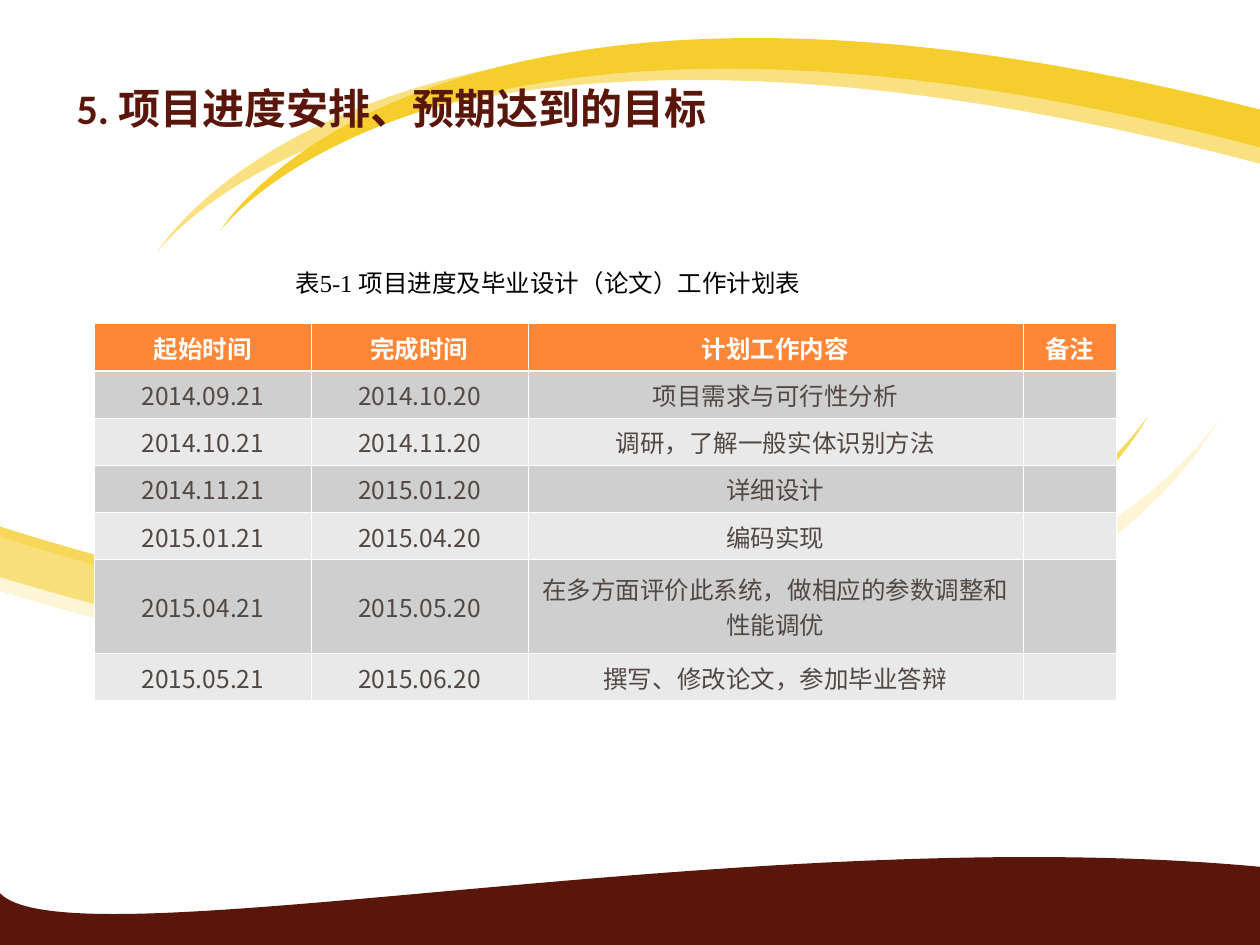
"""Build the project schedule slide with its wave backdrop and plan table."""
from dataclasses import dataclass

from lxml import etree
from pptx import Presentation
from pptx.dml.color import RGBColor
from pptx.enum.text import MSO_ANCHOR, MSO_AUTO_SIZE, PP_ALIGN
from pptx.oxml.ns import qn
from pptx.util import Inches, Pt

TOP, MIDDLE = MSO_ANCHOR.TOP, MSO_ANCHOR.MIDDLE
LEFT, CENTER = PP_ALIGN.LEFT, PP_ALIGN.CENTER
GROW, FIXED = MSO_AUTO_SIZE.SHAPE_TO_FIT_TEXT, MSO_AUTO_SIZE.NONE
SANS = "Noto Sans CJK SC"
WHITE, BROWN, GOLD = "FFFFFF", "5A160B", "F5CD2D"

Point = tuple[float, float]


@dataclass
class Wave:
    """An outline: a start, three points for each cubic curve, then corners."""
    color: str
    start: Point
    curves: list[Point]
    ends: list[Point]
    alpha: int = 100


@dataclass
class Style:
    """The look of one run of text."""
    size: float
    font: str
    color: str
    bold: bool = False


@dataclass
class Label:
    """A text box with one line of text."""
    text: str
    box: tuple[float, float, float, float]
    style: Style
    align: PP_ALIGN
    anchor: MSO_ANCHOR
    fit: MSO_AUTO_SIZE
    wrap: bool
    space: float
    inset: float


def band(color: str, start: Point, bow: Point, tip: Point, dip: Point,
         end: Point, mid: Point, alpha: int = 100) -> Wave:
    """Return a band that sweeps to a sharp tip and back."""
    return Wave(color, start, [bow, tip, tip, tip, dip, end, end, mid, start], [], alpha)


LOW = band(GOLD, (0, 4.18), (7.2, 6.45), (9.11, 3.3), (7.37, 6.83), (0, 4.58), (0, 4.52), 54)
WAVES = [
    LOW,
    band("F9E181", (10, 1.3), (3.09, -0.53), (1.25, 2), (2.92, -0.83), (10, 0.97), (10, 1.02)),
    band(GOLD, (10, 1.17), (3.49, -0.55), (1.75, 1.83), (3.32, -0.83), (10, 0.87), (10, 0.91)),
    Wave(BROWN, (0, 7.09), [(0.56, 7.67), (5.95, 6.5), (10, 6.88),
                            (10, 7.09), (10.01, 7.32), (10.01, 7.54)],
         [(0, 7.51), (0, 7.09)]),
    band("FDF5D5", (0, 4.26), (7.63, 6.68), (9.67, 3.33), (7.82, 7.08), (0, 4.69), (0, 4.63)),
    LOW,
]
LABELS = [
    Label("5. 项目进度安排、预期达到的目标", (0.51, 0.44, 5.51, 0.83),
          Style(24, "Calibri", BROWN, True), LEFT, MIDDLE, FIXED, True, 1, 0.1),
    Label("表5-1 项目进度及毕业设计（论文）工作计划表", (2.2, 2.02, 4.3, 0.39),
          Style(14, "Times New Roman", "000000"), CENTER, TOP, GROW, False, 1.25, 0.05),
]
COLS = [1.72, 1.72, 3.93, 0.74]
UNIT = 2.99 / 8
ROWS = [UNIT] * 5 + [2 * UNIT, UNIT]
HEAD = Style(14, SANS, WHITE, True)
BODY = Style(14, SANS, "514843")
PLAN = [
    ("起始时间", "完成时间", "计划工作内容", "备注"),
    ("2014.09.21", "2014.10.20", "项目需求与可行性分析", ""),
    ("2014.10.21", "2014.11.20", "调研，了解一般实体识别方法", ""),
    ("2014.11.21", "2015.01.20", "详细设计", ""),
    ("2015.01.21", "2015.04.20", "编码实现", ""),
    ("2015.04.21", "2015.05.20", "在多方面评价此系统，做相应的参数调整和性能调优", ""),
    ("2015.05.21", "2015.06.20", "撰写、修改论文，参加毕业答辩", ""),
]


def paint(fill, color: str) -> None:
    """Give a fill one solid colour."""
    fill.solid()
    fill.fore_color.rgb = RGBColor.from_string(color)


def bend(shape, count: int) -> None:
    """Turn the first lines of an outline, three at a time, into cubic curves."""
    lines = list(shape._element.iter(qn("a:lnTo")))[:count]
    for i in range(0, count, 3):
        curve = etree.Element(qn("a:cubicBezTo"))
        lines[i].addprevious(curve)
        for line in lines[i:i + 3]:
            curve.append(line[0])
            line.getparent().remove(line)


def draw_wave(slide, wave: Wave) -> None:
    """Draw one filled wave."""
    spots = [wave.start] + wave.curves + wave.ends
    first, *rest = [(Inches(x), Inches(y)) for x, y in spots]
    pen = slide.shapes.build_freeform(*first)
    pen.add_line_segments(rest, close=True)
    shape = pen.convert_to_shape()
    bend(shape, len(wave.curves))
    shape.shadow.inherit = False
    paint(shape.fill, wave.color)
    shape.line.fill.background()
    if wave.alpha < 100:
        tint = shape._element.spPr.find(qn("a:solidFill"))[0]
        etree.SubElement(tint, qn("a:alpha"), val=str(wave.alpha * 1000))


def write(para, text: str, style: Style, align: PP_ALIGN) -> None:
    """Add a styled run, or keep the text size of an empty paragraph."""
    para.alignment = align
    if not text:
        etree.SubElement(para._p, qn("a:endParaRPr"), sz=str(int(style.size * 100)))
        return
    run = para.add_run()
    run.text = text
    font = run.font
    font.size, font.bold, font.name = Pt(style.size), style.bold, style.font
    font.color.rgb = RGBColor.from_string(style.color)
    etree.SubElement(run._r.rPr, qn("a:ea"), typeface=SANS)


def draw_label(slide, label: Label) -> None:
    """Draw one text box."""
    frame = slide.shapes.add_textbox(*map(Inches, label.box)).text_frame
    frame.word_wrap, frame.auto_size = label.wrap, label.fit
    frame.vertical_anchor = label.anchor
    frame.margin_left = frame.margin_right = Inches(label.inset)
    para = frame.paragraphs[0]
    para.line_spacing = label.space
    write(para, label.text, label.style, label.align)


def edge(cell, side: str, width: float) -> None:
    """Add a white border to one side of a cell."""
    line = etree.SubElement(cell._tc.get_or_add_tcPr(), qn(f"a:ln{side}"), w=str(Pt(width)))
    fill = etree.SubElement(line, qn("a:solidFill"))
    etree.SubElement(fill, qn("a:srgbClr"), val=WHITE)


def draw_plan(slide) -> None:
    """Draw the schedule table."""
    frame = slide.shapes.add_table(len(ROWS), len(COLS), Inches(0.75), Inches(2.57),
                                   Inches(sum(COLS)), Inches(sum(ROWS)))
    table = frame.table
    for col, width in zip(table.columns, COLS):
        col.width = Inches(width)
    for r, (row, height) in enumerate(zip(table.rows, ROWS)):
        row.height = Inches(height)
        style = BODY if r else HEAD
        color = ("E9E9E9", "D0CFCF")[r % 2] if r else "FE8637"
        for cell, text in zip(row.cells, PLAN[r]):
            cell.vertical_anchor = MIDDLE
            cell.margin_left = cell.margin_right = Inches(0.08)
            cell.margin_top = cell.margin_bottom = Inches(0.05)
            for side in "LRTB":
                thick = (r, side) in ((0, "B"), (1, "T"))
                edge(cell, side, 1.47 if thick else 0.45)
            paint(cell.fill, color)
            write(cell.text_frame.paragraphs[0], text, style, CENTER)


def main() -> None:
    """Build and save the slide."""
    deck = Presentation()
    deck.slide_width, deck.slide_height = Inches(10), Inches(7.5)
    slide = deck.slides.add_slide(deck.slide_layouts[6])
    paint(slide.background.fill, WHITE)
    for wave in WAVES:
        draw_wave(slide, wave)
    for label in LABELS:
        draw_label(slide, label)
    draw_plan(slide)
    deck.save("out.pptx")


if __name__ == "__main__":
    main()
